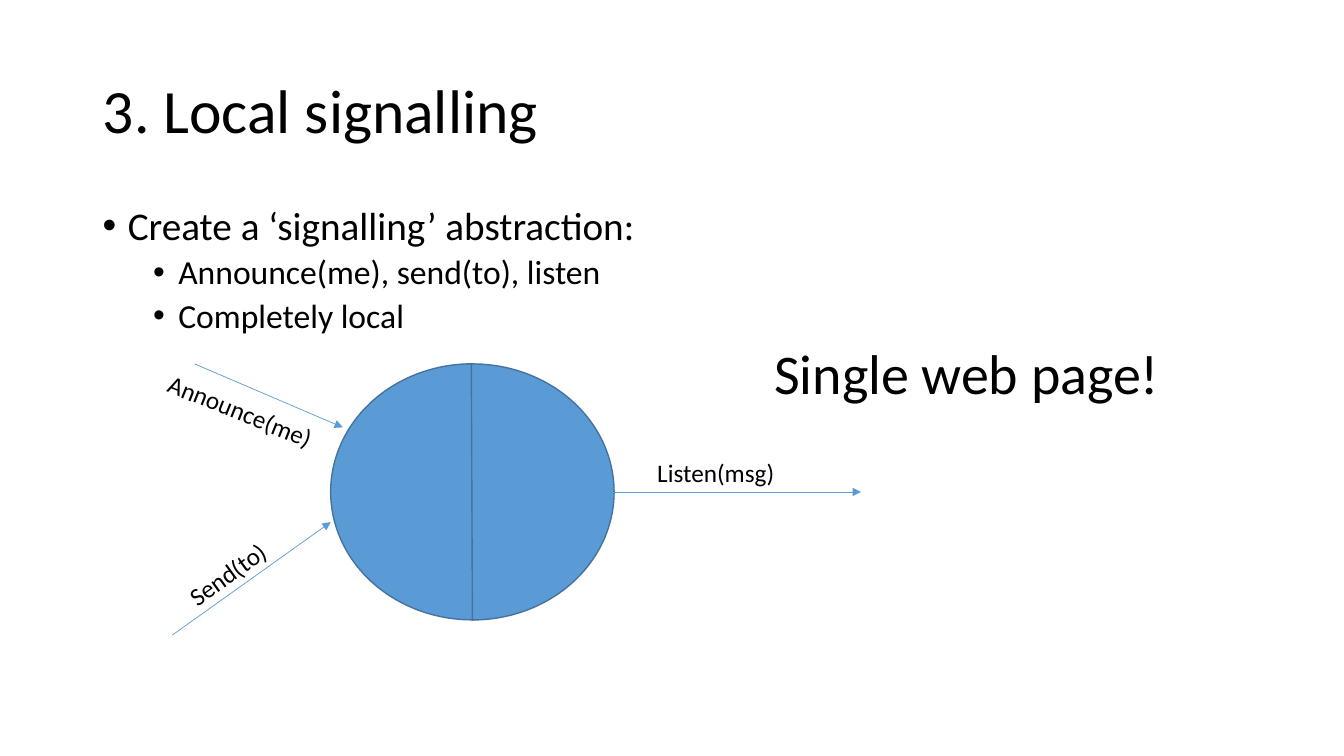
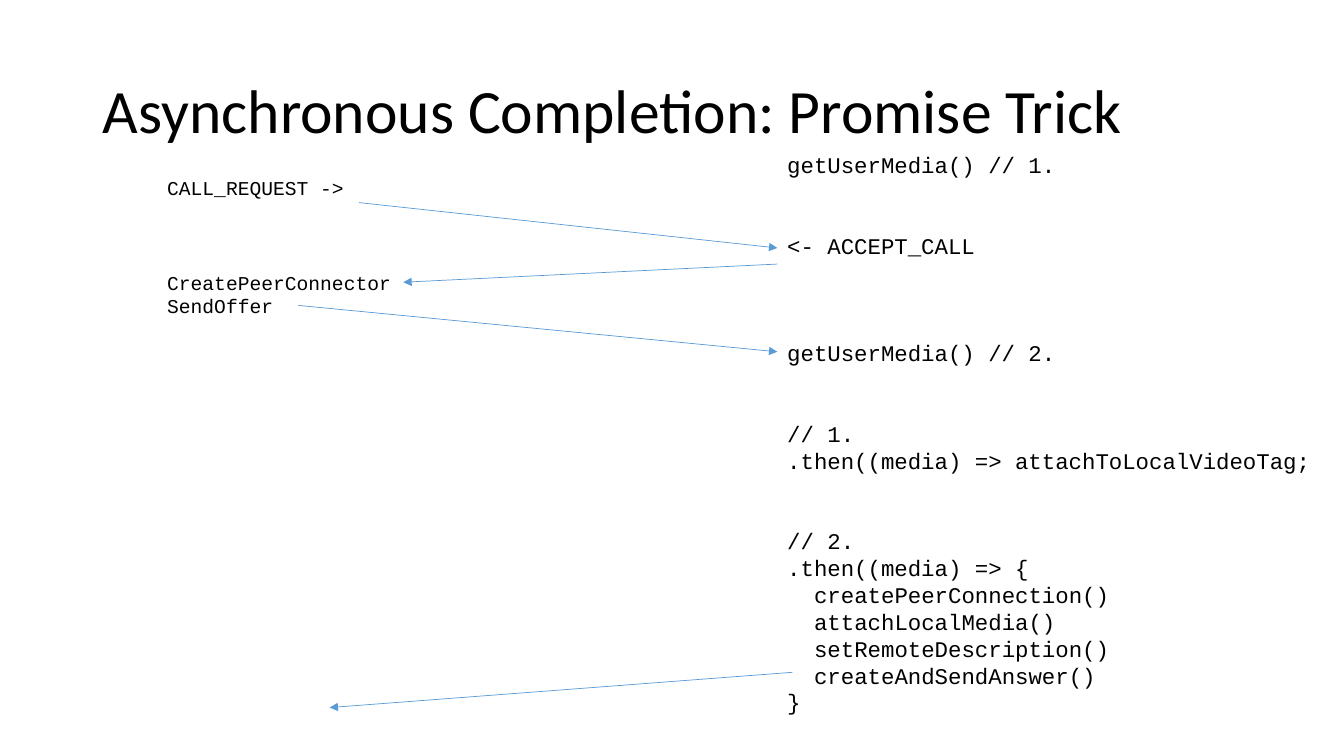
from dataclasses import dataclass

import pptx
import pptx.dml.color
import pptx.enum.shapes
import pptx.enum.text
import pptx.oxml
import pptx.oxml.ns
import pptx.util
from pptx.util import Inches, Pt


@dataclass(frozen=True)
class Theme:
    text: str = "000000"
    accent: str = "5B9BD5"
    outline: str = "43739E"
    font: str = "Calibri"
    code_font: str = "Courier New"
    title_size: float = 44
    callout_size: float = 40
    bullet_sizes: tuple[float, ...] = (28, 24)
    label_size: float = 18
    code_pitch: float = 1.2


THEME = Theme()


@dataclass(frozen=True)
class Box:
    left: float
    top: float
    width: float
    height: float

    def lengths(self) -> tuple:
        return tuple(Inches(v) for v in (self.left, self.top, self.width, self.height))


@dataclass(frozen=True)
class Arrow:
    x1: float
    y1: float
    x2: float
    y2: float


@dataclass(frozen=True)
class Label:
    text: str
    box: Box
    size: float = THEME.label_size
    rotation: float = 0


@dataclass(frozen=True)
class Bullet:
    text: str
    level: int = 0


@dataclass(frozen=True)
class CodeLine:
    """One line of code, the empty lines above it and its indent in characters."""
    text: str
    gap: int = 0
    indent: int = 0


TITLE = Box(0.92, 0.4, 11.5, 1.45)
BODY = Box(0.92, 2, 11.5, 4.76)
CIRCLE = Box(3.28, 3.61, 2.81, 2.54)
CHORD_ANGLES = (53.7, 162)

BULLETS = [
    Bullet("Create a ‘signalling’ abstraction:"),
    Bullet("Announce(me), send(to), listen", 1),
    Bullet("Completely local", 1),
]
SIGNAL_ARROWS = [
    Arrow(1.93, 3.61, 3.4, 4.24),
    Arrow(1.71, 6.3, 3.28, 5.18),
    Arrow(6.08, 4.88, 8.54, 4.88),
]
SIGNAL_LABELS = [
    Label("Announce(me)", Box(1.53, 3.88, 1.73, 0.4), rotation=21.9),
    Label("Send(to)", Box(1.72, 5.49, 1.08, 0.4), rotation=324.2),
    Label("Listen(msg)", Box(6.42, 4.49, 1.38, 0.4)),
    Label("Single web page!", Box(7.58, 3.31, 4.06, 0.77), THEME.callout_size),
]

CALLER_CODE = [
    CodeLine("CALL_REQUEST ->"),
    CodeLine("CreatePeerConnector", gap=3),
    CodeLine("SendOffer"),
]
CALLEE_CODE = [
    CodeLine("getUserMedia() // 1."),
    CodeLine("<- ACCEPT_CALL", gap=2),
    CodeLine("getUserMedia() // 2.", gap=3),
    CodeLine("// 1.", gap=2),
    CodeLine(".then((media) => attachToLocalVideoTag;"),
    CodeLine("// 2.", gap=2),
    CodeLine(".then((media) => {"),
    CodeLine("createPeerConnection()", indent=2),
    CodeLine("attachLocalMedia()", indent=2),
    CodeLine("setRemoteDescription()", indent=2),
    CodeLine("createAndSendAnswer()", indent=2),
    CodeLine("}"),
]
MESSAGE_ARROWS = [
    Arrow(2.96, 3.03, 7.71, 3.49),
    Arrow(3.56, 2.01, 7.71, 2.46),
    Arrow(7.71, 2.62, 4, 2.8),
    Arrow(7.86, 6.67, 3.27, 7.02),
]


def rgb(value: str) -> pptx.dml.color.RGBColor:
    return pptx.dml.color.RGBColor.from_string(value)


def add_run(p, text: str, size: float, font: str = THEME.font) -> None:
    r = p.add_run()
    r.text = text
    r.font.size = Pt(size)
    r.font.name = font
    r.font.color.rgb = rgb(THEME.text)


def add_child(parent, tag: str, **attributes: str) -> None:
    child = pptx.oxml.parse_xml(f"<{tag} {pptx.oxml.ns.nsdecls('a')}/>")
    for name, value in attributes.items():
        child.set(name, value)
    parent.append(child)


def next_paragraph(tf, index: int):
    return tf.add_paragraph() if index else tf.paragraphs[0]


def add_text_box(s, box: Box, wrap: bool = False):
    sp = s.shapes.add_textbox(*box.lengths())
    tf = sp.text_frame
    tf.word_wrap = wrap
    if not wrap:
        tf.auto_size = pptx.enum.text.MSO_AUTO_SIZE.SHAPE_TO_FIT_TEXT
    return sp


def add_titled_slide(prs, title: str):
    s = prs.slides.add_slide(prs.slide_layouts[5])
    sp = s.shapes.title
    sp.left, sp.top, sp.width, sp.height = TITLE.lengths()
    sp.text_frame.vertical_anchor = pptx.enum.text.MSO_ANCHOR.MIDDLE
    p = sp.text_frame.paragraphs[0]
    p.alignment = pptx.enum.text.PP_ALIGN.LEFT
    p.line_spacing = 0.9
    add_run(p, title, THEME.title_size)
    return s


def add_bullets(s, bullets: list[Bullet], box: Box) -> None:
    tf = add_text_box(s, box, wrap=True).text_frame
    for i, bullet in enumerate(bullets):
        p = next_paragraph(tf, i)
        p.level = bullet.level
        p.line_spacing = 0.9
        p.space_before = Pt(5 if bullet.level else 10)
        add_run(p, bullet.text, THEME.bullet_sizes[bullet.level])
        properties = p._p.get_or_add_pPr()
        properties.set("marL", str(Inches(0.25 + 0.5 * bullet.level)))
        properties.set("indent", str(Inches(-0.25)))
        add_child(properties, "a:buFont", typeface="Arial")
        add_child(properties, "a:buChar", char="•")


def add_label(s, label: Label) -> None:
    sp = add_text_box(s, label.box)
    sp.rotation = label.rotation
    add_run(sp.text_frame.paragraphs[0], label.text, label.size)


def add_code(s, lines: list[CodeLine], box: Box, size: float) -> None:
    tf = add_text_box(s, box).text_frame
    pitch = size * THEME.code_pitch
    for i, line in enumerate(lines):
        p = next_paragraph(tf, i)
        p.line_spacing = Pt(pitch)
        p.space_before = Pt(pitch * line.gap)
        if line.indent:
            p._p.get_or_add_pPr().set("marL", str(Pt(0.6 * size * line.indent)))
        add_run(p, line.text, size, THEME.code_font)


def add_arrow(s, arrow: Arrow) -> None:
    cxn = s.shapes.add_connector(
        pptx.enum.shapes.MSO_CONNECTOR.STRAIGHT,
        Inches(arrow.x1), Inches(arrow.y1), Inches(arrow.x2), Inches(arrow.y2))
    cxn.line.color.rgb = rgb(THEME.accent)
    cxn.line.width = Pt(0.5)
    add_child(cxn.line._get_or_add_ln(), "a:tailEnd", type="triangle")
    add_child(cxn._element.spPr, "a:effectLst")


def add_half_circle(s, box: Box, rotation: float) -> None:
    sp = s.shapes.add_shape(pptx.enum.shapes.MSO_SHAPE.CHORD, *box.lengths())
    for i, angle in enumerate(CHORD_ANGLES):
        sp.adjustments[i] = angle
    sp.rotation = rotation
    sp.shadow.inherit = False
    sp.fill.solid()
    sp.fill.fore_color.rgb = rgb(THEME.accent)
    sp.line.color.rgb = rgb(THEME.outline)
    sp.line.width = Pt(1)


def build_signalling(prs) -> None:
    s = add_titled_slide(prs, "3. Local signalling")
    add_bullets(s, BULLETS, BODY)
    for rotation in (0, 180):
        add_half_circle(s, CIRCLE, rotation)
    for arrow in SIGNAL_ARROWS:
        add_arrow(s, arrow)
    for label in SIGNAL_LABELS:
        add_label(s, label)


def build_promise_trick(prs) -> None:
    s = add_titled_slide(prs, "Asynchronous Completion: Promise Trick")
    add_code(s, CALLEE_CODE, Box(7.71, 1.45, 5.47, 5.76), 16)
    add_code(s, CALLER_CODE, Box(1.56, 1.7, 2.43, 1.52), 14)
    for arrow in MESSAGE_ARROWS:
        add_arrow(s, arrow)


def main() -> None:
    prs = pptx.Presentation()
    prs.slide_width, prs.slide_height = Inches(13.33), Inches(7.5)
    build_signalling(prs)
    build_promise_trick(prs)
    prs.save("out.pptx")


if __name__ == "__main__":
    main()
